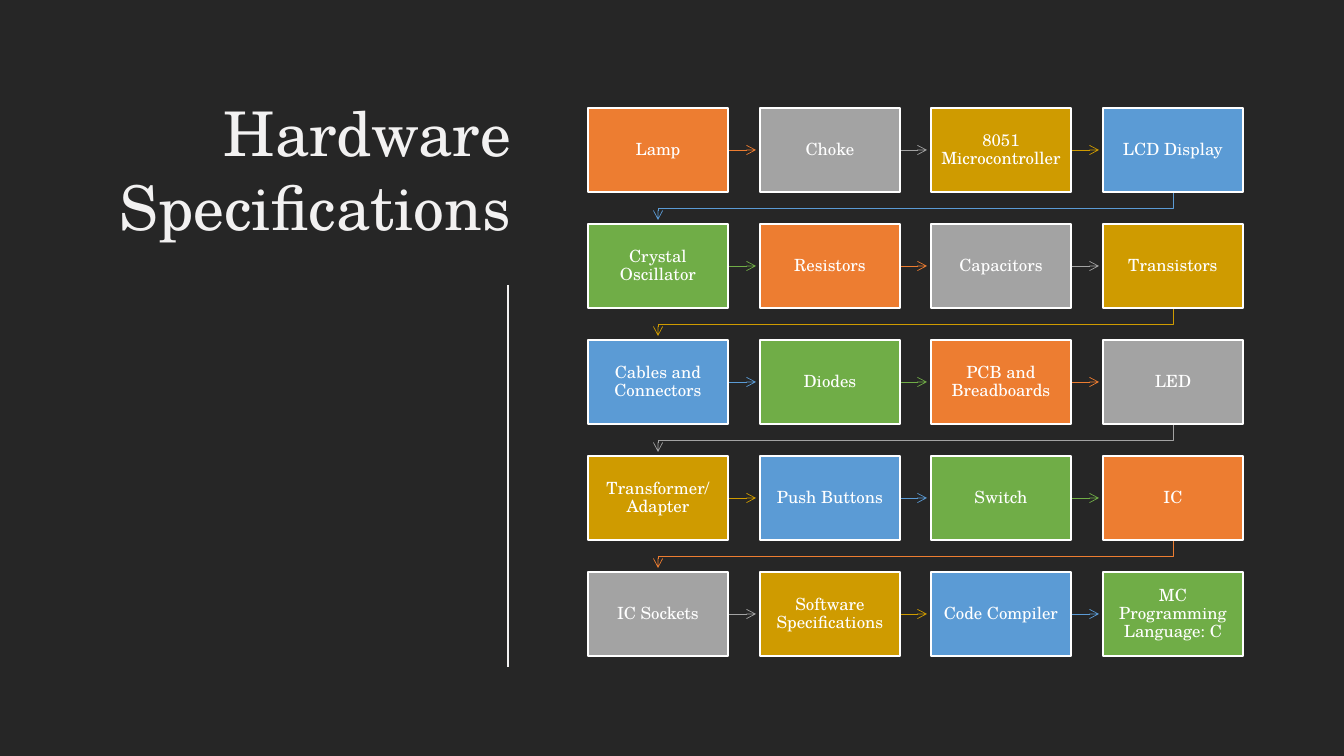
from dataclasses import dataclass

from pptx import Presentation
from pptx.dml.color import RGBColor
from pptx.enum.shapes import MSO_CONNECTOR, MSO_SHAPE
from pptx.enum.text import MSO_ANCHOR, PP_ALIGN
from pptx.oxml.ns import qn
from pptx.oxml.xmlchemy import OxmlElement
from pptx.util import Pt

RECTANGLE = MSO_SHAPE.RECTANGLE
STRAIGHT = MSO_CONNECTOR.STRAIGHT
MIDDLE, BOTTOM = MSO_ANCHOR.MIDDLE, MSO_ANCHOR.BOTTOM
CENTER, RIGHT = PP_ALIGN.CENTER, PP_ALIGN.RIGHT

EMU_PER_PX = 914400 / 100.8
SLIDE_WIDTH, SLIDE_HEIGHT = 1344, 756

# Grid of steps, in px
GRID_LEFT, GRID_TOP, GRID_WIDTH, GRID_HEIGHT = 588, 108, 655, 548
BOX_WIDTH, BOX_HEIGHT = 140, 84
ARROW_GAP = 4

STEPS = [
    ["Lamp", "Choke", "8051 Microcontroller", "LCD Display"],
    ["Crystal Oscillator", "Resistors", "Capacitors", "Transistors"],
    ["Cables and Connectors", "Diodes", "PCB and Breadboards", "LED"],
    ["Transformer/Adapter", "Push Buttons", "Switch", "IC"],
    ["IC Sockets", "Software Specifications", "Code Compiler",
     "MC Programming Language: C"],
]
COLUMNS, ROWS = len(STEPS[0]), len(STEPS)
COLUMN_PITCH = (GRID_WIDTH - BOX_WIDTH) / (COLUMNS - 1)
ROW_PITCH = (GRID_HEIGHT - BOX_HEIGHT) / (ROWS - 1)


@dataclass(frozen=True)
class Theme:
    font: str = "TeX Gyre Schola"
    background: str = "262626"
    title: str = "F2F1F1"
    box_text: str = "FFFFFF"
    accents: tuple = ("ED7D31", "A3A3A3", "CF9B00", "5B9BD5", "70AD47")
    title_size: int = 44
    box_size: int = 12
    rule_width: float = 0.85
    border_width: float = 1
    arrow_width: float = 0.5


THEME = Theme()


def px(value):
    return round(value * EMU_PER_PX)


def write_text(shape, text, *, size, color, align, anchor,
               inset=None, spacing=None):
    frame = shape.text_frame
    frame.word_wrap = True
    frame.vertical_anchor = anchor
    if inset is not None:
        frame.margin_left = frame.margin_right = px(inset)
        frame.margin_top = frame.margin_bottom = px(inset)
    para = frame.paragraphs[0]
    para.alignment = align
    if spacing is not None:
        para.line_spacing = spacing
    span = para.add_run()
    span.text = text
    span.font.name = THEME.font
    span.font.size = Pt(size)
    span.font.color.rgb = RGBColor.from_string(color)


def set_line(shape, color, width):
    shape.line.color.rgb = RGBColor.from_string(color)
    shape.line.width = Pt(width)


def add_arrowhead(shape):
    head = OxmlElement("a:tailEnd")
    head.set("type", "arrow")
    shape.element.spPr.find(qn("a:ln")).append(head)


def add_straight(page, start, end, color, width):
    line = page.shapes.add_connector(STRAIGHT, *map(px, start + end))
    set_line(line, color, width)
    line.element.spPr.append(OxmlElement("a:effectLst"))
    return line


def add_bent_arrow(page, points, color):
    builder = page.shapes.build_freeform(*points[0], scale=EMU_PER_PX)
    builder.add_line_segments(points[1:], close=False)
    arrow = builder.convert_to_shape()
    arrow.shadow.inherit = False
    arrow.fill.background()
    set_line(arrow, color, THEME.arrow_width)
    add_arrowhead(arrow)


def add_box(page, left, top, text, color):
    box = page.shapes.add_shape(
        RECTANGLE, px(left), px(top), px(BOX_WIDTH), px(BOX_HEIGHT))
    box.shadow.inherit = False
    box.fill.solid()
    box.fill.fore_color.rgb = RGBColor.from_string(color)
    set_line(box, THEME.box_text, THEME.border_width)
    write_text(box, text, size=THEME.box_size, color=THEME.box_text,
               align=CENTER, anchor=MIDDLE, inset=7, spacing=0.9)


def box_corner(row, column):
    return (round(GRID_LEFT + column * COLUMN_PITCH),
            round(GRID_TOP + row * ROW_PITCH))


def add_arrow_to_next(page, row, column, color):
    left, top = box_corner(row, column)
    if column < COLUMNS - 1:
        middle = top + BOX_HEIGHT // 2
        next_left = box_corner(row, column + 1)[0]
        arrow = add_straight(page, (left + BOX_WIDTH, middle),
                             (next_left - ARROW_GAP, middle),
                             color, THEME.arrow_width)
        add_arrowhead(arrow)
    elif row < ROWS - 1:
        next_left, next_top = box_corner(row + 1, 0)
        start_x, end_x = left + BOX_WIDTH // 2, next_left + BOX_WIDTH // 2
        bottom = top + BOX_HEIGHT
        turn = (bottom + next_top) // 2
        add_bent_arrow(page, [(start_x, bottom), (start_x, turn),
                              (end_x, turn), (end_x, next_top - ARROW_GAP)],
                       color)


def main():
    deck = Presentation()
    deck.slide_width, deck.slide_height = px(SLIDE_WIDTH), px(SLIDE_HEIGHT)
    page = deck.slides.add_slide(deck.slide_layouts[6])
    page.background.fill.solid()
    page.background.fill.fore_color.rgb = RGBColor.from_string(THEME.background)

    # Title and vertical rule
    title = page.shapes.add_textbox(px(87), px(89), px(434), px(159))
    write_text(title, "Hardware Specifications", size=THEME.title_size,
               color=THEME.title, align=RIGHT, anchor=BOTTOM)
    add_straight(page, (508, 285), (508, 667), THEME.title, THEME.rule_width)

    # Steps, with accents repeating in reading order
    for row, labels in enumerate(STEPS):
        for column, label in enumerate(labels):
            step = row * COLUMNS + column
            color = THEME.accents[step % len(THEME.accents)]
            add_arrow_to_next(page, row, column, color)
            add_box(page, *box_corner(row, column), label, color)

    deck.save("out.pptx")


if __name__ == "__main__":
    main()
